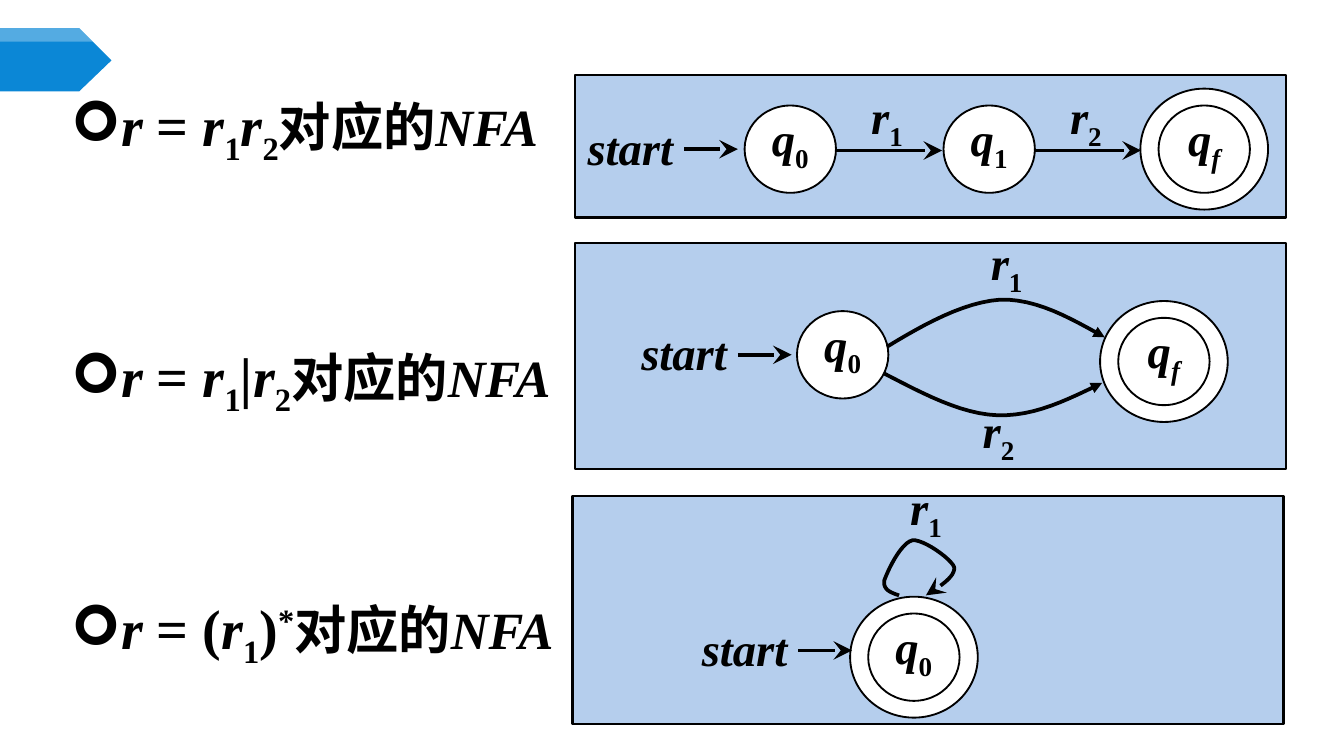
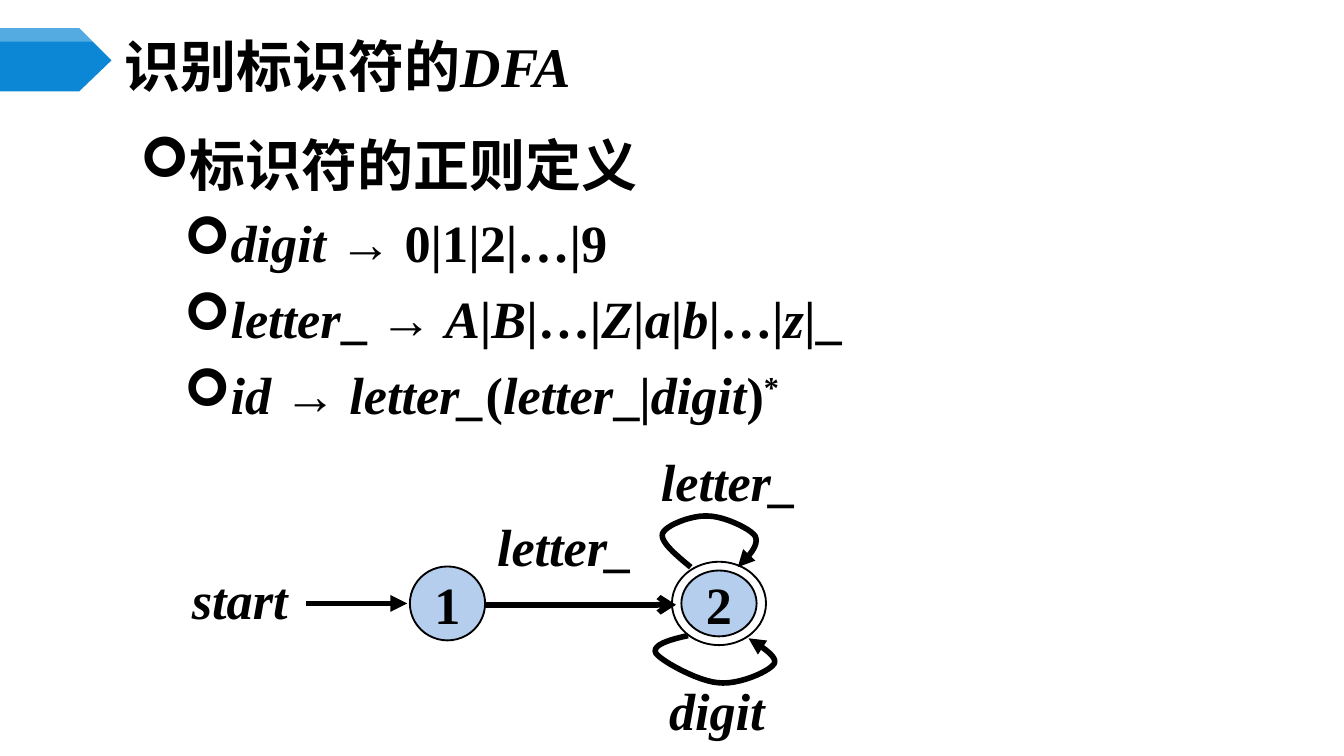
from dataclasses import dataclass

from lxml import etree
from pptx import Presentation
from pptx.dml.color import RGBColor
from pptx.enum.shapes import MSO_CONNECTOR, MSO_SHAPE
from pptx.enum.text import MSO_ANCHOR, MSO_AUTO_SIZE, PP_ALIGN
from pptx.oxml.ns import qn
from pptx.util import Inches, Pt

STRAIGHT = MSO_CONNECTOR.STRAIGHT
ELLIPSE, RECTANGLE = MSO_SHAPE.OVAL, MSO_SHAPE.RECTANGLE
TOP, MIDDLE, BOTTOM = MSO_ANCHOR.TOP, MSO_ANCHOR.MIDDLE, MSO_ANCHOR.BOTTOM
LEFT, CENTER = PP_ALIGN.LEFT, PP_ALIGN.CENTER
FIXED_SIZE = MSO_AUTO_SIZE.NONE


@dataclass(frozen=True)
class Theme:
    ink: RGBColor = RGBColor(0, 0, 0)
    white: RGBColor = RGBColor(0xFF, 0xFF, 0xFF)
    panel: RGBColor = RGBColor(0xB5, 0xCE, 0xED)
    tag: RGBColor = RGBColor(0x0B, 0x87, 0xD6)
    latin: str = "Times New Roman"
    cjk: str = "Noto Sans CJK SC"
    bullet: str = "Wingdings"
    heading: int = 30
    item: int = 28
    diagram: int = 25


THEME = Theme()


@dataclass(frozen=True)
class Run:
    text: str
    italic: bool = False
    baseline: int = 0
    size: int = 0


def it(text, size=0):
    return Run(text, italic=True, size=size)


def sub(text, italic=False):
    return Run(text, italic=italic, baseline=-25)


def sup(text):
    return Run(text, baseline=30)


def symbol(letter, index, italic=False):
    return [it(letter), sub(index, italic)]


def write_runs(paragraph, runs, size):
    for part in runs:
        run = paragraph.add_run()
        run.text = part.text
        formats = {"name": THEME.latin, "size": Pt(part.size or size),
                   "bold": True, "italic": part.italic}
        for attribute, value in formats.items():
            setattr(run.font, attribute, value)
        run.font.color.rgb = THEME.ink
        properties = run.font._element
        if part.baseline:
            properties.set("baseline", str(part.baseline * 1000))
        etree.SubElement(properties, qn("a:ea"), typeface=THEME.cjk)


def set_frame(frame, anchor, wrap):
    formats = {"auto_size": FIXED_SIZE, "word_wrap": wrap,
               "vertical_anchor": anchor, "margin_left": Inches(0.1),
               "margin_right": Inches(0.1), "margin_top": Inches(0.05),
               "margin_bottom": Inches(0.05)}
    for attribute, value in formats.items():
        setattr(frame, attribute, value)


def place(shape, left, top, width, height):
    formats = {"left": left, "top": top, "width": width, "height": height}
    for attribute, value in formats.items():
        setattr(shape, attribute, Inches(value))


def style_shape(shape, fill=None, line_width=None):
    shape.shadow.inherit = False
    if fill is None:
        shape.fill.background()
    else:
        shape.fill.solid()
        shape.fill.fore_color.rgb = fill
    if line_width is None:
        shape.line.fill.background()
    else:
        shape.line.color.rgb = THEME.ink
        shape.line.width = Pt(line_width)


def add_arrowhead(shape, head):
    size = "lg" if head == "stealth" else "med"
    etree.SubElement(shape.line._get_or_add_ln(), qn("a:tailEnd"),
                     type=head, w=size, len=size)


def outline(slide, points, closed):
    """Build a freeform through points given in inches."""
    corners = [(Inches(x), Inches(y)) for x, y in points]
    builder = slide.shapes.build_freeform(*corners[0], scale=1.0)
    builder.add_line_segments(corners[1:], close=closed)
    return builder.convert_to_shape()


def add_corner_tag(slide):
    tag = outline(slide, [(0, 0.21), (0.59, 0.21), (0.83, 0.45),
                          (0.59, 0.68), (0, 0.68)], closed=True)
    style_shape(tag, THEME.tag)
    sheen = outline(slide, [(0, 0.21), (0.59, 0.21), (0.69, 0.31),
                            (0, 0.31)], closed=True)
    style_shape(sheen, THEME.white)
    color = sheen.fill._xPr.find(qn("a:solidFill"))[0]
    etree.SubElement(color, qn("a:alpha"), val="30000")


def add_title(slide, runs):
    title = slide.shapes.title
    place(title, 0.83, 0.29, 8.67, 0.39)
    set_frame(title.text_frame, MIDDLE, wrap=True)
    paragraph = title.text_frame.paragraphs[0]
    paragraph.alignment = LEFT
    write_runs(paragraph, runs, THEME.heading)


def add_bullets(slide, box, items, gap):
    """Fill the body placeholder with (level, size, runs) items."""
    body = slide.placeholders[1]
    place(body, *box)
    frame = body.text_frame
    set_frame(frame, TOP, wrap=True)
    for index, (level, size, runs) in enumerate(items):
        paragraph = frame.add_paragraph() if index else frame.paragraphs[0]
        paragraph.level = level
        paragraph.space_before = Pt(gap if index else 0)
        properties = paragraph._p.get_or_add_pPr()
        properties.set("marL", str(Inches(0.3 + 0.33 * level)))
        properties.set("indent", str(Inches(-0.3)))
        color = etree.SubElement(properties, qn("a:buClr"))
        etree.SubElement(color, qn("a:srgbClr"), val=str(THEME.ink))
        etree.SubElement(properties, qn("a:buFont"), typeface=THEME.bullet)
        etree.SubElement(properties, qn("a:buChar"), char="➢")
        write_runs(paragraph, runs, size)


def add_panel(slide, left, top, height):
    panel = slide.shapes.add_shape(RECTANGLE, Inches(left), Inches(top),
                                   Inches(5.29), Inches(height))
    style_shape(panel, THEME.panel, 1.25)


def add_ellipse(slide, center, size, fill):
    (x, y), (width, height) = center, size
    ellipse = slide.shapes.add_shape(
        ELLIPSE, Inches(x - width / 2), Inches(y - height / 2),
        Inches(width), Inches(height))
    style_shape(ellipse, fill, 1)
    return ellipse


def add_state(slide, center, runs, size=(0.68, 0.65), ring=None,
              fill=THEME.white, ring_fill=THEME.white, anchor=BOTTOM,
              text_size=THEME.diagram):
    """Draw an automaton state; a ring marks an accepting one."""
    if ring:
        add_ellipse(slide, center, ring, ring_fill)
    state = add_ellipse(slide, center, size, fill)
    set_frame(state.text_frame, anchor, wrap=False)
    paragraph = state.text_frame.paragraphs[0]
    paragraph.alignment = CENTER
    write_runs(paragraph, runs, text_size)


def add_label(slide, left, top, runs, width=0.8, height=0.52,
              size=THEME.diagram, centered=True):
    label = slide.shapes.add_textbox(Inches(left), Inches(top),
                                     Inches(width), Inches(height))
    set_frame(label.text_frame, MIDDLE if centered else TOP,
              wrap=not centered)
    paragraph = label.text_frame.paragraphs[0]
    paragraph.alignment = CENTER if centered else LEFT
    write_runs(paragraph, runs, size)


def add_arrow(slide, start_x, end_x, y, width=2, head="stealth"):
    arrow = slide.shapes.add_connector(STRAIGHT, Inches(start_x), Inches(y),
                                       Inches(end_x), Inches(y))
    arrow.line.color.rgb = THEME.ink
    arrow.line.width = Pt(width)
    add_arrowhead(arrow, head)
    etree.SubElement(arrow._element.spPr, qn("a:effectLst"))


def add_start(slide, left, y):
    add_label(slide, left, y - 0.28, [it("start")])
    add_arrow(slide, left + 0.8, left + 1.2, y)


def bezier_points(knots, steps=12):
    """Sample joined cubic curves: a start, then three points per curve."""
    points = [knots[0]]
    for first in range(0, len(knots) - 1, 3):
        curve = knots[first:first + 4]
        for step in range(1, steps + 1):
            t = step / steps
            weights = ((1 - t) ** 3, 3 * t * (1 - t) ** 2,
                       3 * t ** 2 * (1 - t), t ** 3)
            points.append(tuple(sum(w * p[axis] for w, p in zip(weights, curve))
                                for axis in (0, 1)))
    return points


def add_curve(slide, knots, width=2, head="triangle"):
    curve = outline(slide, bezier_points(knots), closed=False)
    style_shape(curve, line_width=width)
    add_arrowhead(curve, head)


def draw_concatenation(slide):
    y = 1.11
    add_panel(slide, 4.28, 0.56, 1.06)
    add_state(slide, (5.88, y), symbol("q", "0"))
    add_state(slide, (7.36, y), symbol("q", "1"))
    add_state(slide, (8.96, y), symbol("q", "f", True), ring=(0.95, 0.9))
    add_start(slide, 4.29, y)
    for index, start_x in (("1", 6.21), ("2", 7.69)):
        add_arrow(slide, start_x, start_x + 0.8, y + 0.01)
        add_label(slide, start_x - 0.01, 0.63, symbol("r", index))


def draw_alternation(slide):
    add_panel(slide, 4.28, 1.81, 1.68)
    add_state(slide, (6.27, 2.64), symbol("q", "0"))
    add_state(slide, (8.66, 2.69), symbol("q", "f", True), ring=(0.95, 0.9))
    add_start(slide, 4.69, 2.64)
    add_curve(slide, [(6.6, 2.58), (6.88, 2.41), (7.17, 2.25), (7.44, 2.23),
                      (7.71, 2.22), (7.97, 2.37), (8.22, 2.51)])
    add_curve(slide, [(6.58, 2.78), (6.87, 2.93), (7.15, 3.08), (7.42, 3.09),
                      (7.7, 3.1), (7.95, 2.97), (8.2, 2.85)])
    add_label(slide, 7.09, 1.72, symbol("r", "1"))
    add_label(slide, 7.03, 2.97, symbol("r", "2"))


def draw_closure(slide):
    add_panel(slide, 4.26, 3.69, 1.7)
    add_state(slide, (6.8, 4.89), symbol("q", "0"), ring=(0.95, 0.9))
    add_curve(slide, [(6.69, 4.43), (6.63, 4.41), (6.57, 4.39), (6.58, 4.32),
                      (6.6, 4.26), (6.7, 4.04), (6.79, 4.02),
                      (6.87, 4.01), (7.08, 4.16), (7.1, 4.22),
                      (7.11, 4.29), (7, 4.36), (6.89, 4.43)], head="stealth")
    add_label(slide, 6.49, 3.54, symbol("r", "1"))
    add_start(slide, 5.14, 4.84)


def build_nfa_slide(slide):
    title = slide.shapes.title._element
    title.getparent().remove(title)
    r1, r2 = symbol("r", "1"), symbol("r", "2")
    expressions = [
        [Run("= "), *r1, *r2],
        [Run("= "), *r1, it("|"), *r2],
        [Run("= ("), *r1, Run(")"), sup("*")],
    ]
    ending = [Run("对应的", size=THEME.item), it("NFA", THEME.item)]
    items = [(0, THEME.heading, [it("r "), *expression, *ending])
             for expression in expressions]
    add_bullets(slide, (0.43, 0.62, 6.48, 5.24), items, gap=94)
    add_corner_tag(slide)
    draw_concatenation(slide)
    draw_alternation(slide)
    draw_closure(slide)


def draw_identifier_dfa(slide):
    y = 4.49
    add_arrow(slide, 2.28, 3.03, y, width=3, head="triangle")
    add_arrow(slide, 3.61, 5.03, y + 0.01, width=3, head="arrow")
    add_curve(slide, [(5.14, 4.22), (5.03, 4.13), (4.91, 4.03), (4.93, 3.97),
                      (4.95, 3.91), (5.15, 3.83), (5.27, 3.84),
                      (5.38, 3.84), (5.58, 3.93), (5.62, 3.99),
                      (5.65, 4.06), (5.57, 4.14), (5.49, 4.22)], width=3)
    add_curve(slide, [(5.12, 4.73), (4.98, 4.76), (4.85, 4.8), (4.88, 4.86),
                      (4.92, 4.92), (5.2, 5.07), (5.34, 5.08),
                      (5.49, 5.1), (5.72, 5), (5.76, 4.94),
                      (5.79, 4.89), (5.68, 4.82), (5.57, 4.75)], width=3)
    for text, left, top, width in (("letter_", 3.6, 3.78, 1.25),
                                   ("letter_", 4.82, 3.29, 1.4),
                                   ("start", 1.33, 4.17, 0.97),
                                   ("digit", 4.88, 5, 2.43)):
        add_label(slide, left, top, [it(text)], width, 0.57,
                  THEME.item, centered=False)
    look = {"fill": THEME.panel, "ring_fill": None, "anchor": MIDDLE,
            "text_size": THEME.item}
    add_state(slide, (3.33, y), [Run("1")], size=(0.56, 0.55), **look)
    add_state(slide, (5.35, y), [Run("2")], size=(0.56, 0.49),
              ring=(0.7, 0.62), **look)


def build_dfa_slide(slide):
    add_title(slide, [Run("识别标识符的"), it("DFA")])
    definitions = [
        [it("digit "), Run("→ 0|1|2|…|9")],
        [it("letter"), Run("_ → "), it("A"), Run("|"), it("B"), Run("|…|"),
         it("Z|a"), Run("|"), it("b"), Run("|…|"), it("z"), Run("|_")],
        [it("id"), Run(" → "), it("letter_"), Run("("), it("letter"),
         Run("_|"), it("digit"), Run(")"), sup("*")],
    ]
    items = [(0, THEME.heading, [Run("标识符的正则定义")])]
    items += [(1, THEME.item, runs) for runs in definitions]
    add_bullets(slide, (0.94, 0.92, 6.48, 3.53), items, gap=7)
    add_corner_tag(slide)
    draw_identifier_dfa(slide)


def main():
    deck = Presentation()
    deck.slide_width = Inches(10)
    deck.slide_height = deck.slide_width * 9 // 16
    for build in (build_nfa_slide, build_dfa_slide):
        build(deck.slides.add_slide(deck.slide_layouts[1]))
    deck.save("out.pptx")


if __name__ == "__main__":
    main()
